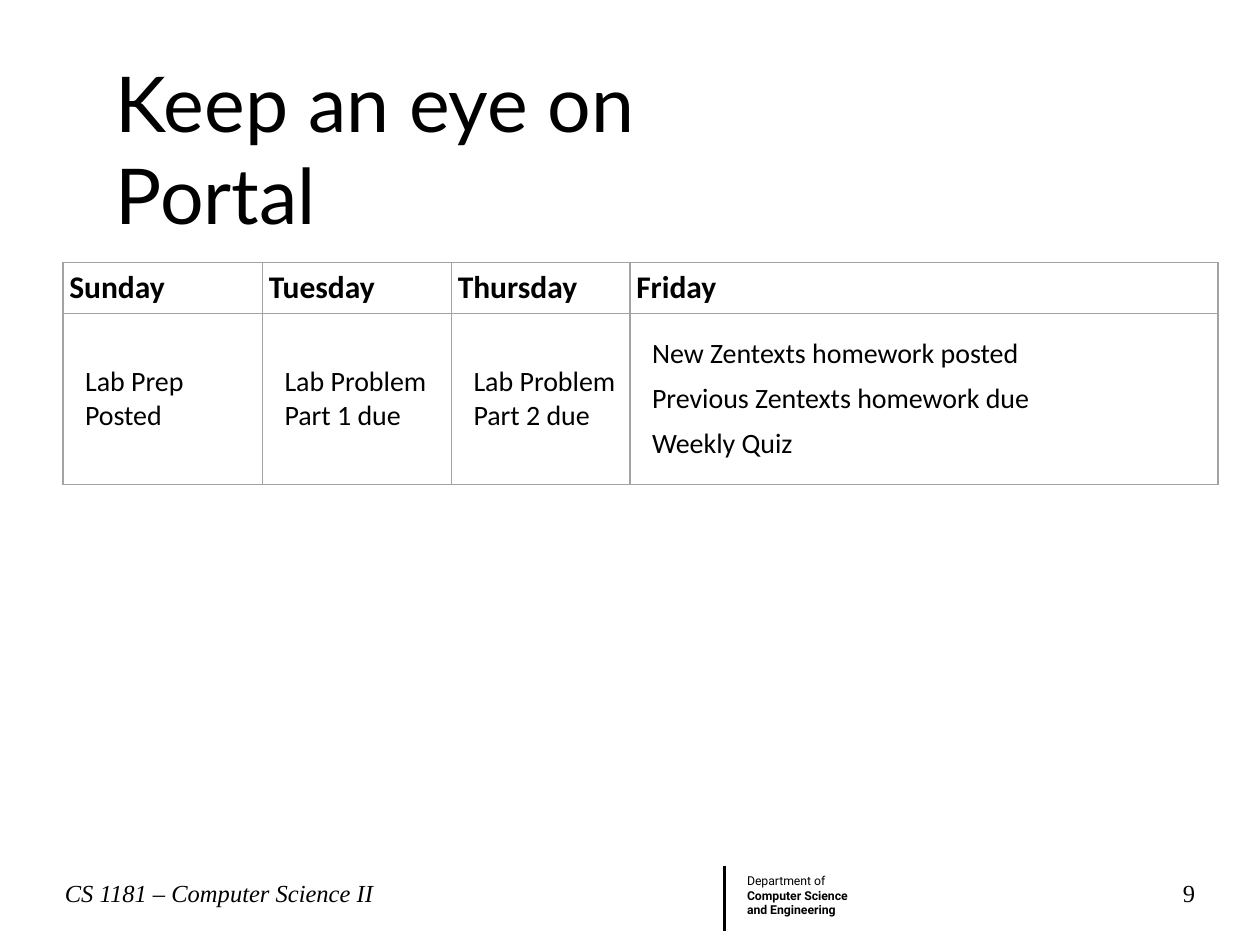
"""Build the weekly course schedule slide."""
import pptx
import pptx.dml.color
import pptx.enum.shapes
import pptx.enum.text
import pptx.oxml
import pptx.oxml.ns
import pptx.util

Pt = pptx.util.Pt
BLACK, GREY = "000000", "A3A3A3"
TITLE = "Keep an eye on Portal"
SCHEDULE = [
    ("Sunday", ["Lab Prep Posted"]),
    ("Tuesday", ["Lab Problem Part 1 due"]),
    ("Thursday", ["Lab Problem Part 2 due"]),
    ("Friday", ["New Zentexts homework posted", "Previous Zentexts homework due", "Weekly Quiz"]),
]
COLUMN_WIDTHS = [114, 108, 102, 336]
ROW_HEIGHTS = [29, 98]
COURSE = "CS 1181 – Computer Science II"
PAGE_NUMBER = "9"
DEPARTMENT = ["Department of", "Computer Science", "and Engineering"]


def color(value):
    return pptx.dml.color.RGBColor.from_string(value)


def write(frame, lines, font, size, bold=False, italic=False):
    frame.text = "\n".join(lines)
    for para in frame.paragraphs:
        for span in para.runs:
            span.font.name, span.font.size = font, Pt(size)
            span.font.bold, span.font.italic = bold, italic
            span.font.color.rgb = color(BLACK)


def add_text(page, place, lines, font, size, **style):
    box = page.shapes.add_textbox(*map(Pt, place))
    box.text_frame.word_wrap = True
    write(box.text_frame, lines, font, size, **style)
    return box.text_frame


def add_borders(cell):
    properties = cell._tc.get_or_add_tcPr()
    for index, side in enumerate(("lnL", "lnR", "lnT", "lnB")):
        properties.insert(index, pptx.oxml.parse_xml(
            f'<a:{side} {pptx.oxml.ns.nsdecls("a")} w="{Pt(1)}"><a:solidFill>'
            f'<a:srgbClr val="{GREY}"/></a:solidFill></a:{side}>'))


def format_entries(cell):
    cell.vertical_anchor = pptx.enum.text.MSO_ANCHOR.MIDDLE
    paragraphs = cell.text_frame.paragraphs
    for para in paragraphs:
        properties = para._p.get_or_add_pPr()
        properties.set("marL", str(Pt(9)))
        properties.set("indent", "0")
        if len(paragraphs) > 1:
            para.space_after = Pt(6)
    if len(paragraphs) > 1:
        paragraphs[0].space_before = Pt(12)


def add_schedule(page):
    frame = page.shapes.add_table(2, len(SCHEDULE), Pt(36), Pt(150),
                                  Pt(sum(COLUMN_WIDTHS)), Pt(sum(ROW_HEIGHTS)))
    table = frame.table
    table.first_row = table.horz_banding = False
    for row, height in zip(table.rows, ROW_HEIGHTS):
        row.height = Pt(height)
    for index, (day, entries) in enumerate(SCHEDULE):
        table.columns[index].width = Pt(COLUMN_WIDTHS[index])
        heading, body = table.cell(0, index), table.cell(1, index)
        for cell in (heading, body):
            cell.fill.background()
            cell.margin_left = cell.margin_right = Pt(3.6)
            cell.margin_top = cell.margin_bottom = Pt(3.6)
            add_borders(cell)
        write(heading.text_frame, [day], "Calibri", 18, bold=True)
        write(body.text_frame, entries, "Calibri", 16)
        format_entries(body)


def add_footer(page):
    rule = page.shapes.add_connector(pptx.enum.shapes.MSO_CONNECTOR.STRAIGHT,
                                     Pt(414), Pt(494.6), Pt(414), Pt(532))
    rule.line.color.rgb = color(BLACK)
    rule.line.width = Pt(1.5)
    rule._element.spPr.append(
        pptx.oxml.parse_xml(f'<a:effectLst {pptx.oxml.ns.nsdecls("a")}/>'))
    department = add_text(page, (419.8, 495.4, 76.3, 32.4), DEPARTMENT, "Roboto", 7)
    department.word_wrap = False
    for para in department.paragraphs[1:]:
        para.runs[0].font.bold = True
    add_text(page, (30, 498, 252, 36), [COURSE], "Times New Roman", 14, italic=True)
    number = add_text(page, (540, 498, 150, 36), [PAGE_NUMBER], "Times New Roman", 14)
    number.paragraphs[0].alignment = pptx.enum.text.PP_ALIGN.RIGHT


def add_title(page):
    title = page.shapes.title
    title.left, title.top, title.width, title.height = map(Pt, (59, 28, 396.7, 60.5))
    frame = title.text_frame
    write(frame, [TITLE], "Lato", 44)
    frame.word_wrap = True
    frame.auto_size = pptx.enum.text.MSO_AUTO_SIZE.NONE
    frame.vertical_anchor = pptx.enum.text.MSO_ANCHOR.TOP
    frame.paragraphs[0].alignment = pptx.enum.text.PP_ALIGN.LEFT


def main():
    deck = pptx.Presentation()
    deck.slide_width, deck.slide_height = Pt(720), Pt(540)
    page = deck.slides.add_slide(deck.slide_layouts[5])
    add_footer(page)
    add_title(page)
    add_schedule(page)
    deck.save("out.pptx")


if __name__ == "__main__":
    main()
